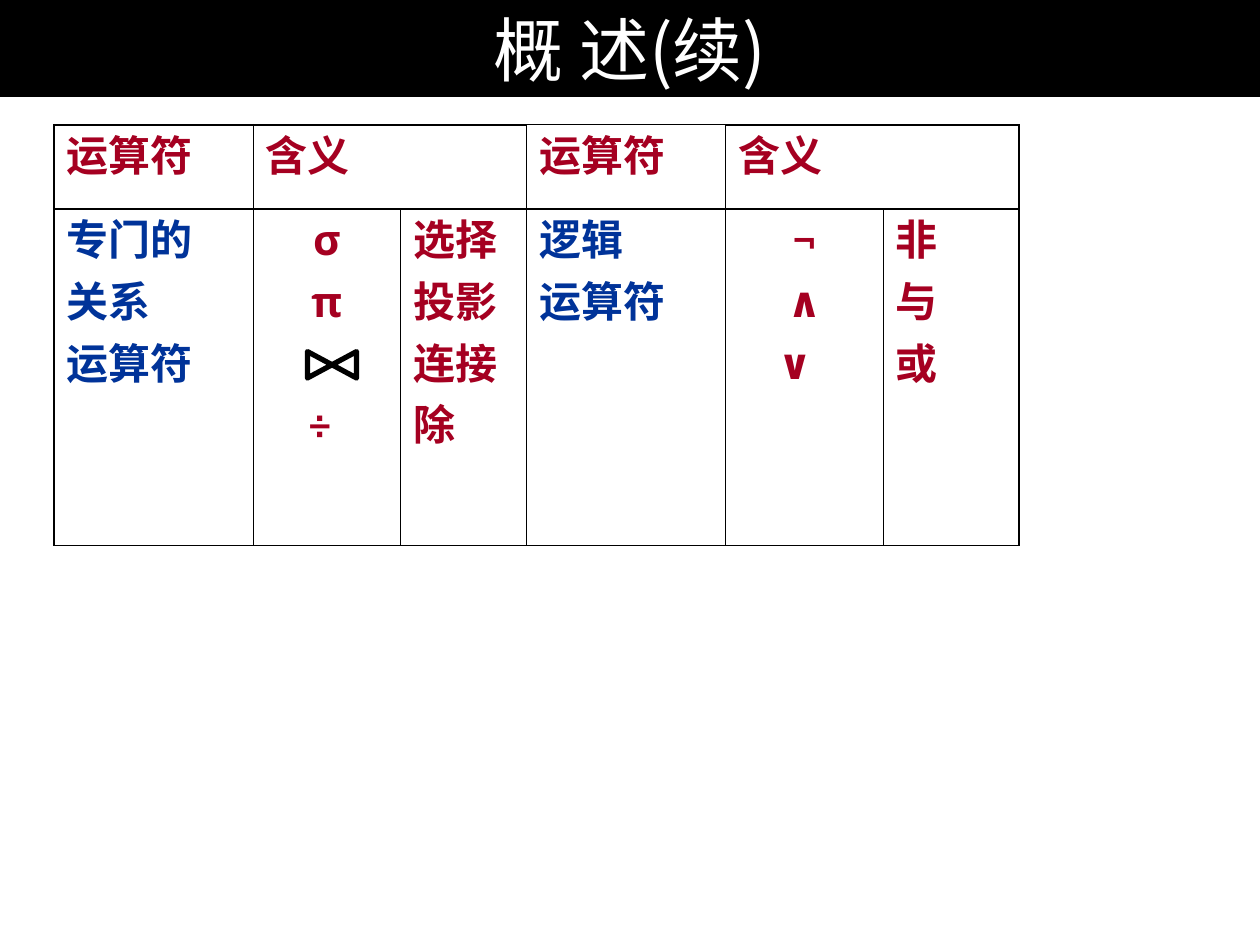
from lxml import etree
from pptx import Presentation
from pptx.dml.color import RGBColor
from pptx.enum.shapes import MSO_SHAPE
from pptx.enum.text import MSO_ANCHOR, MSO_AUTO_SIZE, PP_ALIGN
from pptx.oxml.ns import qn
from pptx.util import Inches, Pt

COLORS = {"red": "A50021", "blue": "003399", "black": "000000", "white": "FFFFFF"}
THIN, THICK = 0.45, 1.08
LEFT, TOP = 0.43, 0.99

# Content: (lines, format) for each cell
TITLE = "概 述(续)"
HEAD = [(["运算符"], {}), (["含义"], {}), (["运算符"], {}), (["含义"], {})]
BODY = [
    (["专门的", "关系", "运算符"], {"color": "blue"}),
    (["σ", "π", "÷"], {"align": PP_ALIGN.CENTER, "gaps": {2: 40}, "pads": {2: 0.1}}),
    (["选择", "投影", "连接", "除"], {}),
    (["逻辑", "运算符"], {"color": "blue"}),
    (["¬", "∧", "∨"], {"align": PP_ALIGN.CENTER, "pads": {2: 0.15}}),
    (["非", "与", "或"], {}),
]
TABLES = [  # top, height, column widths, cells
    (TOP + 0.67, 2.67, [1.58, 1.17, 1, 1.58, 1.25, 1.08], BODY),
    (TOP, 0.67, [1.58, 2.17, 1.58, 2.33], HEAD),
]


def rgb(name):
    return RGBColor.from_string(COLORS[name])


def write(frame, lines, color="red", size=24, font="Cabin", bold=True,
          align=PP_ALIGN.LEFT, gap=6, gaps={}, pads={}):
    """Fill a frame; gaps and pads give space before and right indent by line."""
    for i, line in enumerate(lines):
        par = frame.paragraphs[0] if i == 0 else frame.add_paragraph()
        par.alignment = align
        par.space_before = Pt(gaps.get(i, gap) if i else 0)
        if i in pads:
            par._p.get_or_add_pPr().set("marR", str(Inches(pads[i])))
        run = par.add_run()
        run.text = line
        run.font.size, run.font.bold, run.font.name = Pt(size), bold, font
        run.font.color.rgb = rgb(color)
        east = etree.SubElement(run._r.get_or_add_rPr(), qn("a:ea"))
        east.set("typeface", font)


def border(cell, **widths):
    props = cell._tc.get_or_add_tcPr()
    for i, side in enumerate("LRTB"):
        line = etree.Element(qn("a:ln" + side), w=str(Pt(widths[side])))
        fill = etree.SubElement(line, qn("a:solidFill"))
        etree.SubElement(fill, qn("a:srgbClr"), val=COLORS["black"])
        props.insert(i, line)


def grid(slide, top, height, widths, cells):
    frame = slide.shapes.add_table(1, len(cells), Inches(LEFT), Inches(top),
                                   Inches(sum(widths)), Inches(height))
    table = frame.table
    table.first_row = table.horz_banding = False
    table.rows[0].height = Inches(height)
    last = len(cells) - 1
    for i, (lines, style) in enumerate(cells):
        table.columns[i].width = Inches(widths[i])
        cell = table.cell(0, i)
        cell.fill.background()
        write(cell.text_frame, lines, **style)
        border(cell, L=THIN if i else THICK, R=THICK if i == last else THIN,
               T=THIN if cells is HEAD and i == 2 else THICK, B=THICK)


def main():
    deck = Presentation()
    deck.slide_width, deck.slide_height = Inches(10), Inches(7.5)
    slide = deck.slides.add_slide(deck.slide_layouts[5])

    # Operator tables
    for spec_row in TABLES:
        grid(slide, *spec_row)

    # Join symbol
    join = slide.shapes.add_shape(MSO_SHAPE.FLOWCHART_COLLATE, Inches(2.53),
                                  Inches(2.7), Inches(0.21), Inches(0.39))
    join.rotation = 90
    join.shadow.inherit = False
    join.fill.solid()
    join.fill.fore_color.rgb = rgb("white")
    join.line.color.rgb = rgb("black")
    join.line.width = Pt(3)

    # Title bar
    title = slide.shapes.title
    title.left, title.top = Inches(0), Inches(0)
    title.width, title.height = Inches(10), Inches(0.77)
    title.fill.solid()
    title.fill.fore_color.rgb = rgb("black")
    frame = title.text_frame
    frame.auto_size = MSO_AUTO_SIZE.NONE
    frame.vertical_anchor = MSO_ANCHOR.MIDDLE
    frame.margin_left = frame.margin_right = Inches(0.2)
    write(frame, [TITLE], color="white", size=40, font="Noto Sans CJK SC",
          bold=False, align=PP_ALIGN.CENTER)

    deck.save("out.pptx")


if __name__ == "__main__":
    main()
